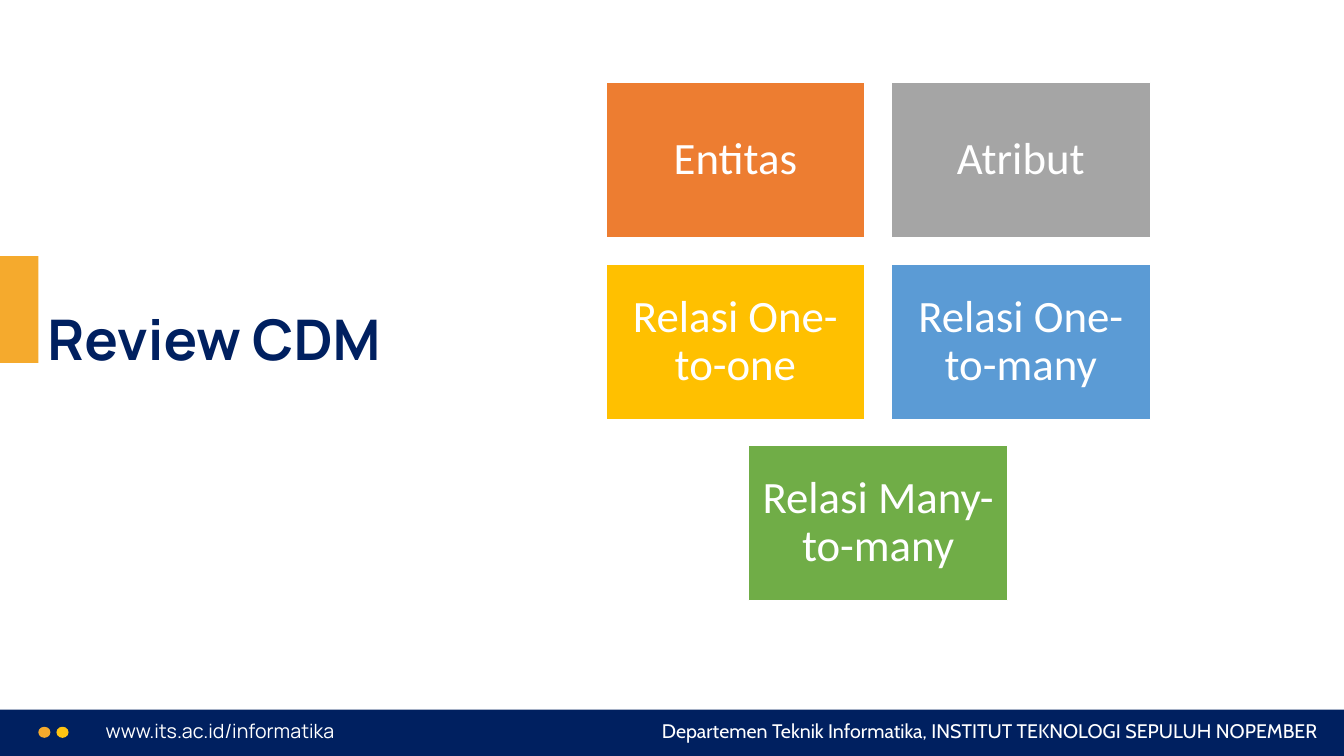
from dataclasses import dataclass

from pptx import Presentation
from pptx.dml.color import RGBColor
from pptx.enum.shapes import MSO_SHAPE
from pptx.enum.text import MSO_ANCHOR, MSO_AUTO_SIZE, PP_ALIGN
from pptx.util import Inches, Pt

RECTANGLE, OVAL = MSO_SHAPE.RECTANGLE, MSO_SHAPE.OVAL
LEFT, CENTER, RIGHT = PP_ALIGN.LEFT, PP_ALIGN.CENTER, PP_ALIGN.RIGHT
MIDDLE, BOTTOM = MSO_ANCHOR.MIDDLE, MSO_ANCHOR.BOTTOM
NO_FIT = MSO_AUTO_SIZE.NONE
TITLE_ONLY = 5


@dataclass(frozen=True)
class Theme:
    navy: str = "002060"
    amber: str = "F5AA2D"
    yellow: str = "FFC411"
    white: str = "FFFFFF"
    cards: tuple = ("ED7D31", "A5A5A5", "FFC000", "5B9BD5", "70AD47")
    heading_font: str = "Manrope"
    footer_font: str = "Cabin"
    card_font: str = "Calibri"
    title_size: int = 40
    card_size: int = 32
    footer_size: int = 14


THEME = Theme()
CONCEPTS = ("Entitas", "Atribut", "Relasi One-to-one", "Relasi One-to-many",
            "Relasi Many-to-many")


def add_block(slide, kind, left, top, width, height, color):
    shape = slide.shapes.add_shape(
        kind, Inches(left), Inches(top), Inches(width), Inches(height))
    shape.shadow.inherit = False
    shape.fill.solid()
    shape.fill.fore_color.rgb = RGBColor.from_string(color)
    shape.line.fill.background()
    return shape


def write(frame, text, font, size, color, align, bold=False):
    frame.word_wrap = True
    paragraph = frame.paragraphs[0]
    paragraph.text = text
    paragraph.alignment = align
    paragraph.font.name = font
    paragraph.font.size = Pt(size)
    paragraph.font.bold = bold
    paragraph.font.color.rgb = RGBColor.from_string(color)
    return paragraph


def add_footer(slide, left, top, width, height):
    add_block(slide, RECTANGLE, left, top, width, height, THEME.navy)
    for index, color in enumerate((THEME.amber, THEME.yellow)):
        add_block(slide, OVAL, left + 0.38 + index * 0.18, top + 0.17,
                  0.12, 0.11, color)
    labels = (
        (0.95, 4.28, "www.its.ac.id/informatika", THEME.heading_font, LEFT),
        (5.91, 7.26, "Departemen Teknik Informatika, INSTITUT TEKNOLOGI SEPULUH NOPEMBER",
         THEME.footer_font, RIGHT),
    )
    for offset, label_width, text, font, align in labels:
        box = slide.shapes.add_textbox(
            Inches(left + offset), Inches(top + 0.04), Inches(label_width), Inches(0.34))
        write(box.text_frame, text, font, THEME.footer_size, THEME.white, align)


def add_title(slide, left, top, width, height):
    """Place the title with its amber tab at the slide edge."""
    add_block(slide, RECTANGLE, 0, top + 0.14, 0.38, 1.06, THEME.amber)
    title = slide.shapes.title
    title.left, title.top = Inches(left), Inches(top)
    title.width, title.height = Inches(width), Inches(height)
    frame = title.text_frame
    frame.auto_size = NO_FIT
    frame.vertical_anchor = BOTTOM
    paragraph = write(frame, "Review CDM", THEME.heading_font, THEME.title_size,
                      THEME.navy, LEFT, bold=True)
    paragraph.line_spacing = 0.9


def add_concept_grid(slide, left, top, width, height, columns=2, gap=0.26):
    """Fill rows of cards, centring a last row that is not full."""
    rows = -(-len(CONCEPTS) // columns)
    card_width = (width - gap * (columns - 1)) / columns
    card_height = (height - gap * (rows - 1)) / rows
    for index, (text, color) in enumerate(zip(CONCEPTS, THEME.cards)):
        row, column = divmod(index, columns)
        in_row = min(columns, len(CONCEPTS) - row * columns)
        indent = (columns - in_row) * (card_width + gap) / 2
        card = add_block(slide, RECTANGLE,
                         left + indent + column * (card_width + gap),
                         top + row * (card_height + gap),
                         card_width, card_height, color)
        card.line.color.rgb = RGBColor.from_string(THEME.white)
        card.line.width = Pt(1)
        frame = card.text_frame
        frame.vertical_anchor = MIDDLE
        frame.margin_left = frame.margin_right = Inches(0.13)
        frame.margin_top = frame.margin_bottom = Inches(0.13)
        paragraph = write(frame, text, THEME.card_font, THEME.card_size,
                          THEME.white, CENTER)
        paragraph.line_spacing = 0.9


def main():
    presentation = Presentation()
    presentation.slide_width = Inches(13.33)
    presentation.slide_height = Inches(7.5)
    slide = presentation.slides.add_slide(presentation.slide_layouts[TITLE_ONLY])
    add_footer(slide, 0, 7.04, 13.33, 0.46)
    add_title(slide, 0.37, 2.4, 4.32, 1.35)
    add_concept_grid(slide, 6.01, 0.82, 5.4, 5.14)
    presentation.save("out.pptx")


if __name__ == "__main__":
    main()
